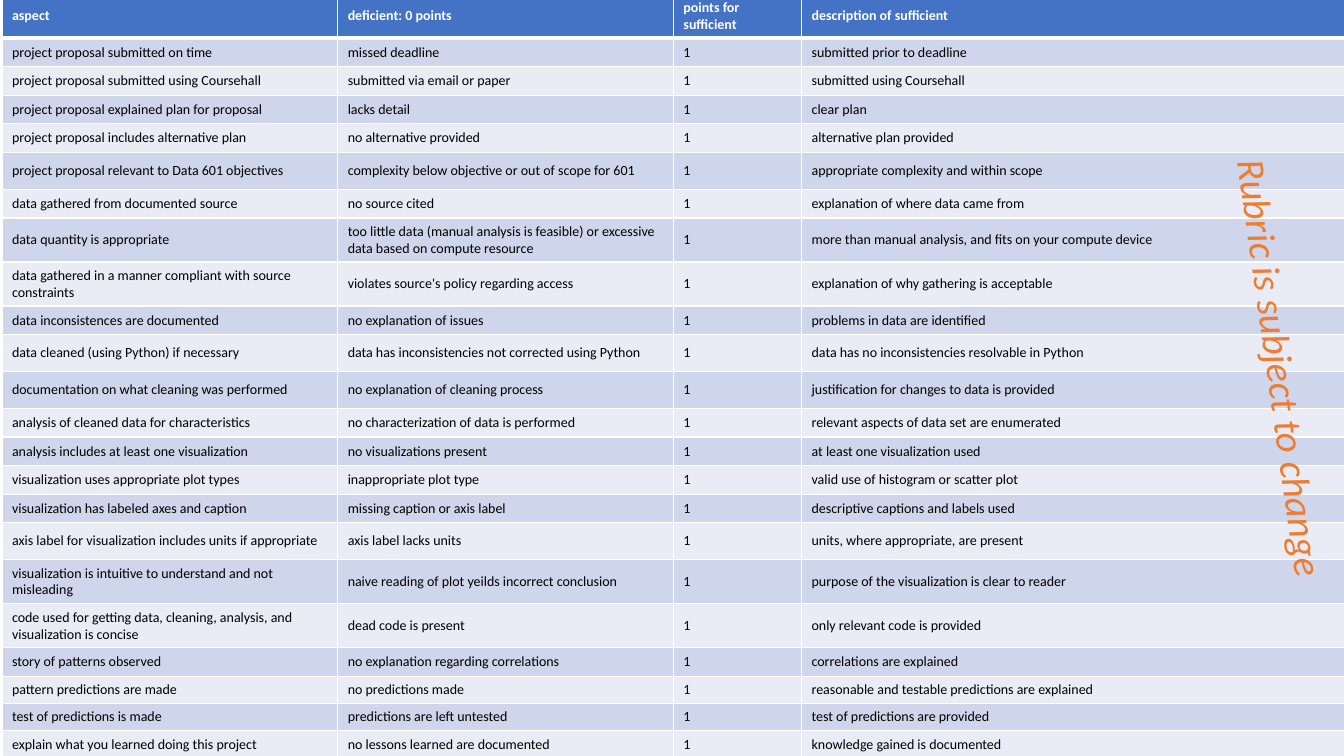
from lxml import etree
from pptx import Presentation
from pptx import util as u
from pptx.dml.color import RGBColor
from pptx.enum import text
from pptx.oxml.ns import qn

WHITE = RGBColor(0xFF, 0xFF, 0xFF)
BLACK = RGBColor(0x00, 0x00, 0x00)
ORANGE = RGBColor(0xED, 0x7D, 0x31)
HEADER_BLUE = RGBColor(0x44, 0x72, 0xC4)
BANDS = (RGBColor(0xE9, 0xEB, 0xF5), RGBColor(0xCF, 0xD5, 0xEA))

HEADER_FONT = {"name": "Calibri", "size": u.Pt(10), "bold": True}
BODY_FONT = {"name": "Calibri", "size": u.Pt(10), "bold": False}
NOTICE_FONT = {"name": "Calibri", "size": u.Pt(28), "italic": True}

COLUMN_WIDTHS = (8.46, 8.46, 3.23, 13.69)
SINGLE, TALL, DOUBLE, TIGHT = 0.72, 0.93, 1.04, 0.58

HEADINGS = ("aspect", "deficient: 0 points", "points for \nsufficient",
            "description of sufficient")
POINTS = "1"
CRITERIA = [
    (SINGLE, "project proposal submitted on time", "missed deadline",
     "submitted prior to deadline"),
    (SINGLE, "project proposal submitted using Coursehall",
     "submitted via email or paper", "submitted using Coursehall"),
    (SINGLE, "project proposal explained plan for proposal", "lacks detail",
     "clear plan"),
    (SINGLE, "project proposal includes alternative plan",
     "no alternative provided", "alternative plan provided"),
    (TALL, "project proposal relevant to Data 601 objectives",
     "complexity below objective or out of scope for 601",
     "appropriate complexity and within scope"),
    (SINGLE, "data gathered from documented source", "no source cited",
     "explanation of where data came from"),
    (DOUBLE, "data quantity is appropriate",
     "too little data (manual analysis is feasible) or excessive data based on compute resource",
     "more than manual analysis, and fits on your compute device"),
    (DOUBLE, "data gathered in a manner compliant with source constraints",
     "violates source's policy regarding access",
     "explanation of why gathering is acceptable"),
    (SINGLE, "data inconsistences are documented", "no explanation of issues",
     "problems in data are identified"),
    (TALL, "data cleaned (using Python) if necessary",
     "data has inconsistencies not corrected using Python",
     "data has no inconsistencies resolvable in Python"),
    (TALL, "documentation on what cleaning was performed",
     "no explanation of cleaning process",
     "justification for changes to data is provided"),
    (SINGLE, "analysis of cleaned data for characteristics",
     "no characterization of data is performed",
     "relevant aspects of data set are enumerated"),
    (SINGLE, "analysis includes at least one visualization",
     "no visualizations present", "at least one visualization used"),
    (SINGLE, "visualization uses appropriate plot types",
     "inappropriate plot type", "valid use of histogram or scatter plot"),
    (SINGLE, "visualization has labeled axes and caption",
     "missing caption or axis label", "descriptive captions and labels used"),
    (TALL, "axis label for visualization includes units if appropriate",
     "axis label lacks units", "units, where appropriate, are present"),
    (DOUBLE, "visualization is intuitive to understand and not misleading",
     "naive reading of plot yeilds incorrect conclusion",
     "purpose of the visualization is clear to reader"),
    (DOUBLE, "code used for getting data, cleaning, analysis, and visualization is concise",
     "dead code is present", "only relevant code is provided"),
    (SINGLE, "story of patterns observed", "no explanation regarding correlations",
     "correlations are explained"),
    (TIGHT, "pattern predictions are made", "no predictions made",
     "reasonable and testable predictions are explained"),
    (TIGHT, "test of predictions is made", "predictions are left untested",
     "test of predictions are provided"),
    (SINGLE, "explain what you learned doing this project",
     "no lessons learned are documented", "knowledge gained is documented"),
]


def format_paragraph(paragraph, font_values, color):
    for run in paragraph.runs:
        for attribute, value in font_values.items():
            setattr(run.font, attribute, value)
        run.font.color.rgb = color


def add_borders(cell, bottom_width):
    properties = cell._tc.get_or_add_tcPr()
    widths = {"lnL": 1, "lnR": 1, "lnT": 1, "lnB": bottom_width}
    for side, width in widths.items():
        line = etree.SubElement(properties, qn(f"a:{side}"), w=str(u.Pt(width)))
        fill = etree.SubElement(line, qn("a:solidFill"))
        etree.SubElement(fill, qn("a:srgbClr"), val=str(WHITE))


def fill_row(row, wording, height, font_values, color, background, bottom_width=1):
    row.height = u.Cm(height)
    for cell, words in zip(row.cells, wording):
        cell.text = words
        cell.vertical_anchor = text.MSO_ANCHOR.MIDDLE
        add_borders(cell, bottom_width)
        cell.fill.solid()
        cell.fill.fore_color.rgb = background
        for paragraph in cell.text_frame.paragraphs:
            format_paragraph(paragraph, font_values, color)


def add_rubric(slide):
    heights = [TALL] + [criterion[0] for criterion in CRITERIA]
    rubric = slide.shapes.add_table(
        len(heights), len(COLUMN_WIDTHS), u.Cm(0.05), u.Cm(-0.15),
        u.Cm(sum(COLUMN_WIDTHS)), u.Cm(sum(heights))).table
    for column, width in zip(rubric.columns, COLUMN_WIDTHS):
        column.width = u.Cm(width)
    fill_row(rubric.rows[0], HEADINGS, TALL, HEADER_FONT, WHITE, HEADER_BLUE, 3)
    for number, (height, aspect, deficient, sufficient) in enumerate(CRITERIA, 1):
        fill_row(rubric.rows[number], (aspect, deficient, POINTS, sufficient),
                 height, BODY_FONT, BLACK, BANDS[number % 2])


def add_notice(slide, wording):
    notice = slide.shapes.add_textbox(u.Cm(25.17), u.Cm(8.53), u.Cm(14.25), u.Cm(1.45))
    notice.rotation = 82
    frame = notice.text_frame
    frame.word_wrap = True
    frame.auto_size = text.MSO_AUTO_SIZE.SHAPE_TO_FIT_TEXT
    paragraph = frame.paragraphs[0]
    paragraph.alignment = text.PP_ALIGN.CENTER
    paragraph.add_run().text = wording
    format_paragraph(paragraph, NOTICE_FONT, ORANGE)


def main():
    presentation = Presentation()
    presentation.slide_width = u.Cm(33.87)
    presentation.slide_height = u.Cm(19.05)
    slide = presentation.slides.add_slide(presentation.slide_layouts[6])
    add_rubric(slide)
    add_notice(slide, "Rubric is subject to change")
    presentation.save("out.pptx")


if __name__ == "__main__":
    main()
